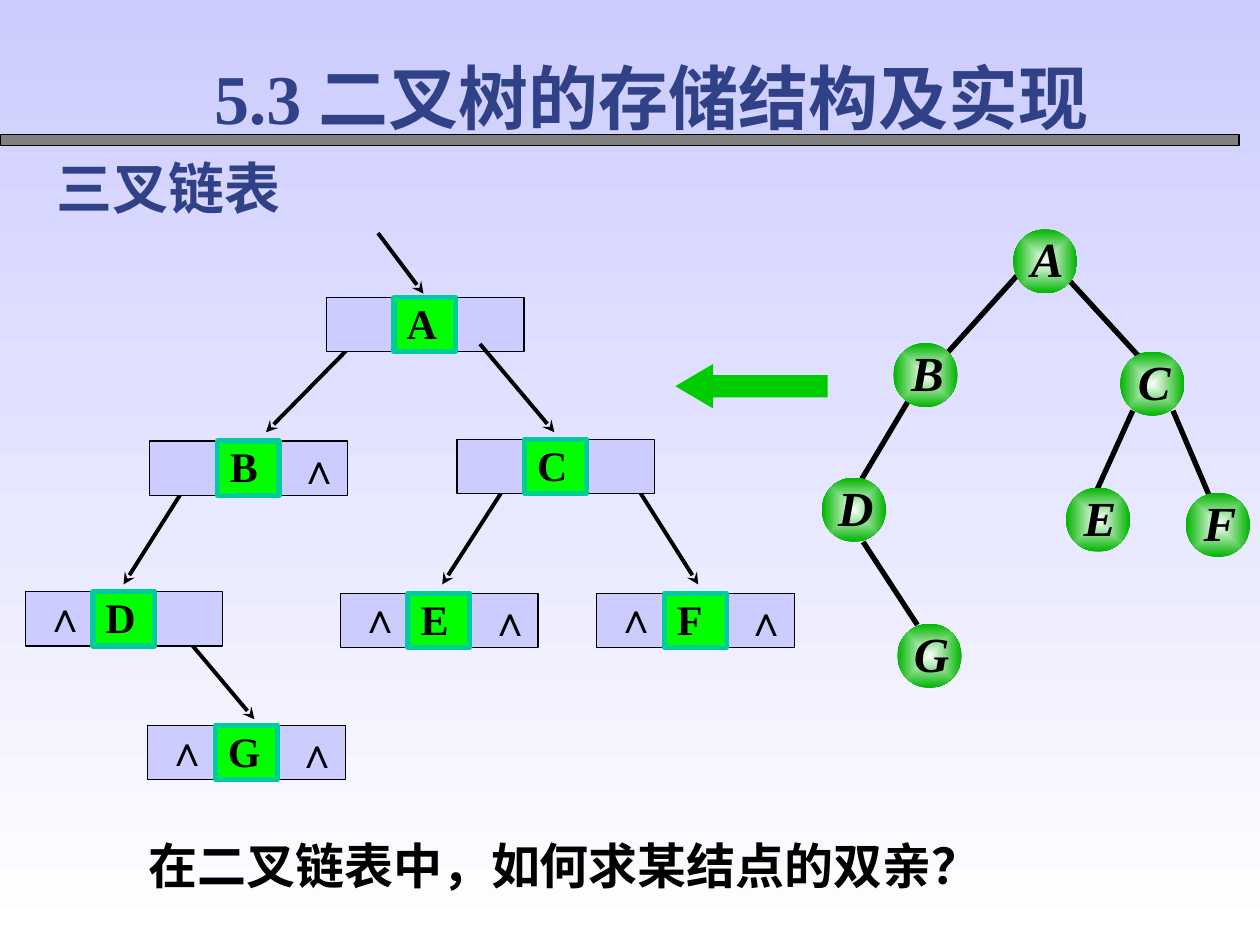
from lxml import etree
from pptx import Presentation
from pptx.dml.color import RGBColor
from pptx.enum.shapes import MSO_CONNECTOR, MSO_SHAPE
from pptx.enum.text import MSO_ANCHOR, MSO_AUTO_SIZE, PP_ALIGN
from pptx.oxml.ns import qn
from pptx.util import Pt

RECT, OVAL, LEFT = MSO_SHAPE.RECTANGLE, MSO_SHAPE.OVAL, MSO_SHAPE.LEFT_ARROW
LINE = MSO_CONNECTOR.STRAIGHT
TOP = MSO_ANCHOR.TOP
GROW = MSO_AUTO_SIZE.SHAPE_TO_FIT_TEXT
CENTER, JUST = PP_ALIGN.CENTER, PP_ALIGN.JUSTIFY

CELLS = [
    ("G", 84.5, 414.5, "LR", (105, 363, 145.4, 411)),
    ("F", 341, 339, "LR", (363, 277, 399, 334)),
    ("E", 194.5, 339, "LR", (289.4, 277, 252.7, 334)),
    ("D", 14.4, 338.2, "L", (106.6, 277, 70.6, 334)),
    ("B", 85.5, 252, "R", (201.6, 196.6, 152, 247)),
    ("A", 186.5, 170, "", (216, 133.2, 242, 167.8)),
    ("C", 261.2, 251, "", (274.3, 196.6, 316.8, 247)),
]
MARKS = {"L": (5, -1.5), "R": (79.2, 0)}
EDGES = [
    (581, 157.7, 541.4, 201.6),
    (610.6, 159.8, 650.9, 203.8),
    (519.1, 229, 492.5, 273.6),
    (493.2, 309.6, 524.2, 357.1),
    (647.3, 234.7, 627.1, 279.4),
    (670.3, 234.7, 691.2, 283.7),
]
NODES = [
    ("A", 578.9, 131), ("B", 510.5, 196), ("C", 640.1, 200.9),
    ("D", 469.6, 272.9), ("E", 609.1, 278.6), ("F", 677.6, 281.6),
    ("G", 512.8, 356.4),
]


def tint(code):
    return RGBColor.from_string(code)


def blend(fill, *codes):
    fill.gradient()
    for stop, code in zip(fill.gradient_stops, codes):
        stop.color.rgb = tint(code)


def write(shape, text, size=24, color="000000", slant=False, align=None,
          pad=(7.2, 3.6, 7.2, 3.6), before=0, grow=False):
    frame = shape.text_frame
    frame.word_wrap = True
    frame.vertical_anchor = TOP
    if grow:
        frame.auto_size = GROW
    (frame.margin_left, frame.margin_top,
     frame.margin_right, frame.margin_bottom) = map(Pt, pad)
    para = frame.paragraphs[0]
    para.alignment = align
    para.space_before = Pt(before)
    run = para.add_run()
    run.text = text
    font = run.font
    font.name, font.size = "Times New Roman", Pt(size)
    font.bold, font.italic = True, slant
    font.color.rgb = tint(color)


class Deck:
    ink, navy = "000000", "314187"
    pale, green, teal = "CCCCFF", "01FF01", "00CC99"

    def __init__(self):
        self.show = Presentation()
        self.show.slide_width, self.show.slide_height = Pt(720), Pt(540)
        self.slide = self.show.slides.add_slide(self.show.slide_layouts[6])
        fill = self.slide.background.fill
        blend(fill, self.pale, "FFFFFF")
        fill.gradient_angle = 270

    def shape(self, kind, box, fill=None, line=None, width=0.75):
        item = self.slide.shapes.add_shape(kind, *map(Pt, box))
        item.shadow.inherit = False
        if fill:
            item.fill.solid()
            item.fill.fore_color.rgb = tint(fill)
        if line:
            item.line.color.rgb = tint(line)
            item.line.width = Pt(width)
        else:
            item.line.fill.background()
        return item

    def label(self, box, text, **form):
        write(self.slide.shapes.add_textbox(*map(Pt, box)), text, **form)

    def line(self, ends, width, arrow=False):
        item = self.slide.shapes.add_connector(LINE, *map(Pt, ends))
        item.line.color.rgb = tint(self.ink)
        item.line.width = Pt(width)
        props = item._element.spPr
        if arrow:
            etree.SubElement(props.find(qn("a:ln")), qn("a:tailEnd"),
                             type="stealth")
        etree.SubElement(props, qn("a:effectLst"))

    def cell(self, name, x, y, ends):
        self.shape(RECT, (x, y, 113, 31), self.pale, self.ink)
        key = self.shape(RECT, (x + 38.7, y, 35.3, 31),
                         self.green, self.teal, 3)
        write(key, name, align=JUST, pad=(7.2, 0, 1.4, 0.7))
        self.line(ends, 2.25, arrow=True)

    def mark(self, x, y):
        self.label((x, y, 33, 29), "∧", align=CENTER,
                   pad=(4.3, 0.7, 1.4, 0.7))

    def node(self, name, x, y):
        ball = self.shape(OVAL, (x, y, 36.7, 36.7))
        blend(ball.fill, "FFFFFF", "00B400")
        grad = ball._element.spPr.find(qn("a:gradFill"))
        grad.remove(grad.find(qn("a:lin")))
        way = etree.SubElement(grad, qn("a:path"), path="rect")
        half = dict.fromkeys("ltrb", "50000")
        etree.SubElement(way, qn("a:fillToRect"), **half)
        self.label((x + 4, y - 3.2, 31, 48), name, size=28, slant=True,
                   align=CENTER, pad=(0, 2.9, 0, 0))


def main():
    deck = Deck()
    deck.shape(RECT, (0, 77, 708, 6), "808080", deck.ink)
    deck.label((25.2, 84.2, 264, 46), "三叉链表", size=32,
               color=deck.navy, before=20, grow=True)
    deck.label((115.2, 27.4, 555, 55.4), "5.3 二叉树的存储结构及实现", size=40,
               color=deck.navy, align=JUST, before=25, grow=True)
    for name, x, y, sides, ends in CELLS:
        deck.cell(name, x, y, ends)
        for side in sides:
            dx, dy = MARKS[side]
            deck.mark(x + dx, y + dy)
    for ends in EDGES:
        deck.line(ends, 3)
    for name, x, y in NODES:
        deck.node(name, x, y)
    arrow = deck.shape(LEFT, (385.9, 208, 87, 25.4), "00CC00")
    arrow.adjustments[0], arrow.adjustments[1] = 0.5, 0.85
    deck.label((77.8, 473.8, 619, 41), "在二叉链表中，如何求某结点的双亲？",
               size=28, before=17.5, grow=True)
    deck.show.save("out.pptx")


if __name__ == "__main__":
    main()
